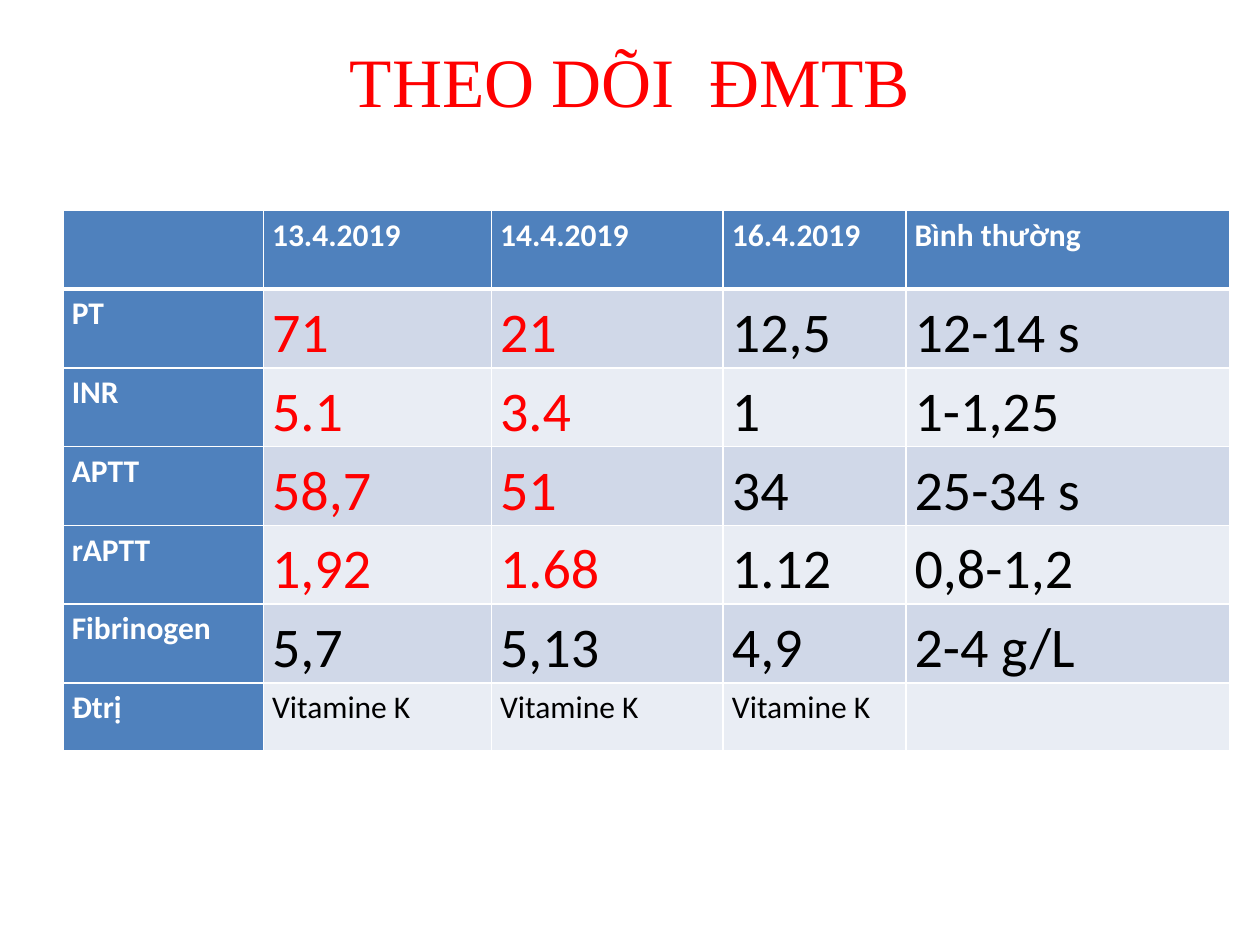
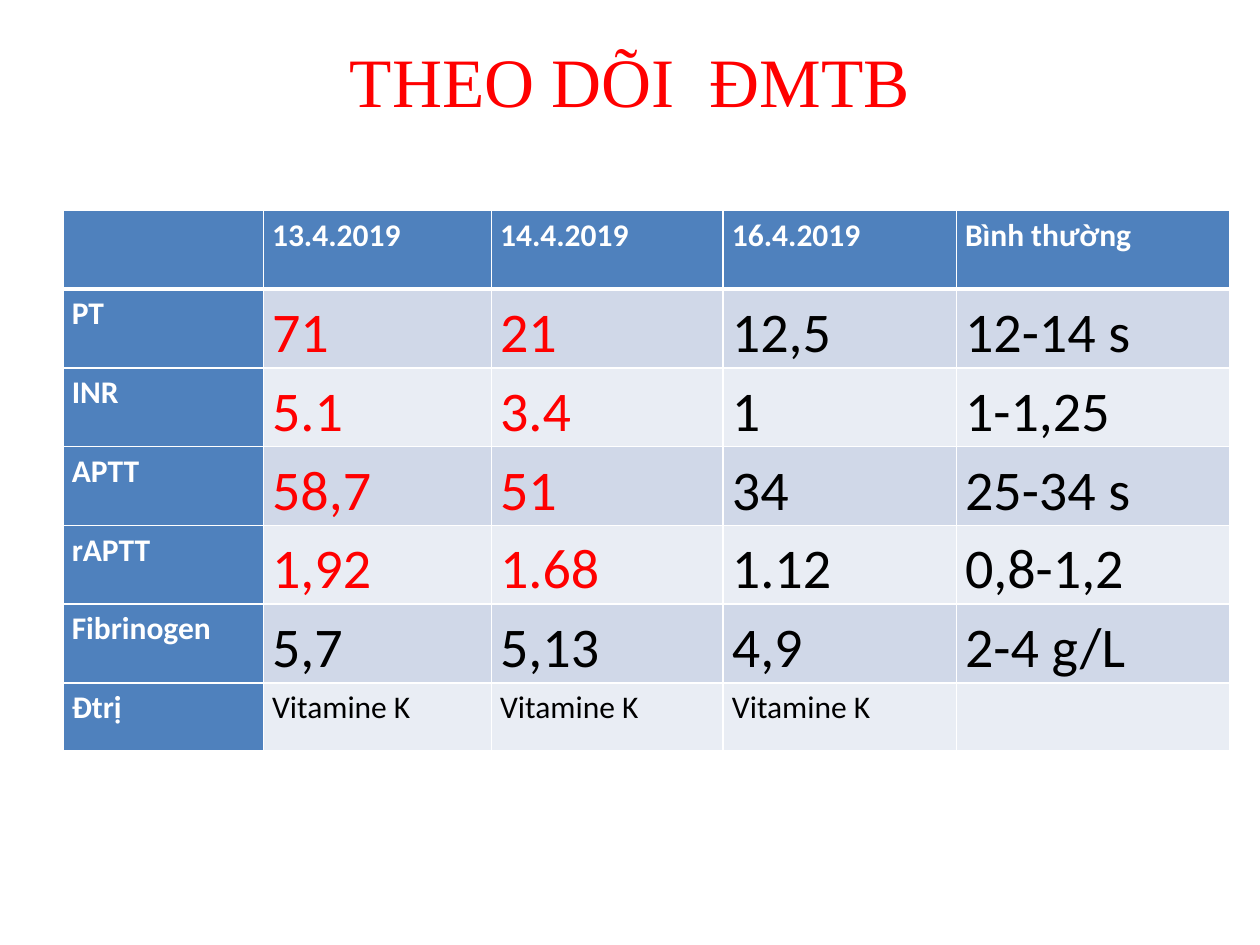
"""Build two slides that follow coagulation tests over three days."""
from lxml import etree
from pptx import Presentation
from pptx import util as u
from pptx.dml.color import RGBColor
from pptx.enum import text
from pptx.oxml import ns

BLUE, DARK_BAND, LIGHT_BAND = "4F81BD", "D0D8E8", "E9EDF4"
WHITE, BLACK, RED = "FFFFFF", "000000", "FF0000"

HEADING = "THEO DÕI  ĐMTB"
RESULTS = [
    ["", "13.4.2019", "14.4.2019", "16.4.2019", "Bình thường"],
    ["PT", "71", "21", "12,5", "12-14 s"],
    ["INR", "5.1", "3.4", "1", "1-1,25"],
    ["APTT", "58,7", "51", "34", "25-34 s"],
    ["rAPTT", "1,92", "1.68", "1.12", "0,8-1,2"],
    ["Fibrinogen", "5,7", "5,13", "4,9", "2-4 g/L"],
    ["Đtrị", "Vitamine K", "Vitamine K", "Vitamine K", ""],
]
TREATMENT_ROW = len(RESULTS) - 1
ABNORMAL = {(row, day) for row in range(1, 5) for day in (1, 2)}
COLUMN_WIDTHS = [
    [1.59, 1.81, 1.84, 1.45, 2.57],
    [1.59, 1.81, 1.84, 1.85, 2.17],
]
ROW_HEIGHTS = [3.75 / TREATMENT_ROW] * TREATMENT_ROW + [0.54]


def style(font, face, size, color, bold=False):
    font.name, font.size, font.bold = face, u.Pt(size), bold
    font.color.rgb = RGBColor.from_string(color)


def add_border(cell, side, points):
    line = etree.SubElement(cell._tc.get_or_add_tcPr(), ns.qn(f"a:ln{side}"), w=str(u.Pt(points)))
    fill = etree.SubElement(line, ns.qn("a:solidFill"))
    etree.SubElement(fill, ns.qn("a:srgbClr"), val=WHITE)


deck = Presentation()
deck.slide_width, deck.slide_height = u.Inches(10), u.Inches(7.5)
margin = deck.slide_width // 20

for widths in COLUMN_WIDTHS:
    slide = deck.slides.add_slide(deck.slide_layouts[6])

    heading = slide.shapes.add_textbox(
        margin, u.Inches(0.3), deck.slide_width - 2 * margin, u.Inches(1.25)).text_frame
    heading.word_wrap = True
    heading.vertical_anchor = text.MSO_ANCHOR.TOP
    heading.margin_top = 0
    heading.text = HEADING
    heading.paragraphs[0].alignment = text.PP_ALIGN.CENTER
    style(heading.paragraphs[0].runs[0].font, "Times New Roman", 39.6, RED)

    results = slide.shapes.add_table(
        len(RESULTS), len(widths), margin, u.Inches(1.67),
        u.Inches(sum(widths)), u.Inches(sum(ROW_HEIGHTS))).table
    for column, width in zip(results.columns, widths):
        column.width = u.Inches(width)
    for table_row, height in zip(results.rows, ROW_HEIGHTS):
        table_row.height = u.Inches(height)

    for row, entries in enumerate(RESULTS):
        for day, entry in enumerate(entries):
            cell = results.cell(row, day)
            is_label = row == 0 or day == 0
            cell.margin_left = cell.margin_right = u.Inches(0.07)
            cell.margin_top = cell.margin_bottom = 0

            for side in "LRTB":
                under_header = (row, side) in {(0, "B"), (1, "T")}
                add_border(cell, side, 3 if under_header else 1)
            cell.fill.solid()
            band = DARK_BAND if row % 2 else LIGHT_BAND
            cell.fill.fore_color.rgb = RGBColor.from_string(BLUE if is_label else band)

            if entry:
                cell.text_frame.text = entry
                paragraph = cell.text_frame.paragraphs[0]
                paragraph.line_spacing = 1.15
                size = 18 if is_label or row == TREATMENT_ROW else 32
                value_color = RED if (row, day) in ABNORMAL else BLACK
                style(paragraph.runs[0].font, "Calibri", size,
                      WHITE if is_label else value_color, is_label)

deck.save("out.pptx")
